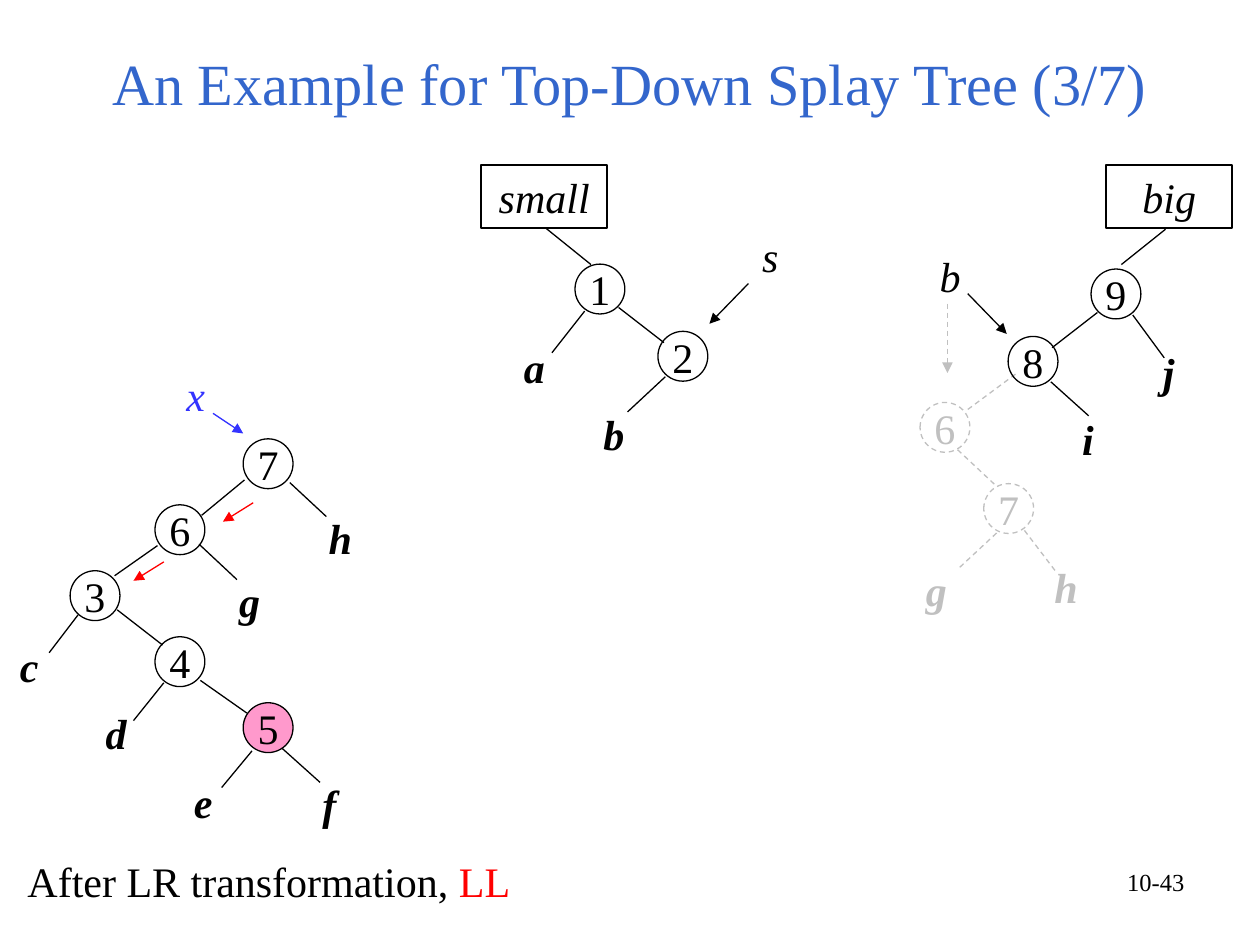
from lxml.etree import SubElement
from pptx import Presentation
from pptx.dml.color import RGBColor
from pptx.enum.dml import MSO_LINE_DASH_STYLE as Dash
from pptx.enum.shapes import MSO_CONNECTOR as Connector, MSO_SHAPE as Shape
from pptx.enum.text import MSO_ANCHOR as Anchor, MSO_AUTO_SIZE as AutoSize, PP_ALIGN as Align
from pptx.oxml.ns import qn
from pptx.util import Pt

COLORS = {"black": "000000", "white": "FFFFFF", "pink": "FF99CC", "gray": "C0C0C0",
          "red": "FF0000", "blue": "3333FF", "title": "3366CC"}
PLAIN = {"name": "Times New Roman", "size": Pt(24)}
ITALIC = {**PLAIN, "italic": True}
BOLD_ITALIC = {**ITALIC, "bold": True}


def write(shape, spans, style, align=Align.LEFT, anchor=Anchor.TOP, wrap=True):
    """Fill a shape with one paragraph of (text, color) spans."""
    frame = shape.text_frame
    layout = {"word_wrap": wrap, "vertical_anchor": anchor, "auto_size": AutoSize.NONE,
              "margin_left": Pt(7.2), "margin_right": Pt(7.2),
              "margin_top": Pt(3.6), "margin_bottom": Pt(3.6)}
    for name, value in layout.items():
        setattr(frame, name, value)
    para = frame.paragraphs[0]
    para.alignment = align
    for text, color in spans:
        span = para.add_run()
        span.text = text
        for name, value in style.items():
            setattr(span.font, name, value)
        span.font.color.rgb = RGBColor.from_string(COLORS[color])


def outline(line, color, width=0.75):
    line.color.rgb = RGBColor.from_string(COLORS[color])
    line.width = Pt(width)
    if color == "gray":
        line.dash_style = Dash.DASH


deck = Presentation()
deck.slide_width, deck.slide_height = Pt(720), Pt(540)
page = deck.slides.add_slide(deck.slide_layouts[5])
shapes = page.shapes

title = shapes.title
title.left, title.top, title.width, title.height = Pt(36), Pt(21.6), Pt(648), Pt(55.4)
write(title, [("An Example for Top-Down Splay Tree (3/7)", "title")],
      {**PLAIN, "size": Pt(33.3)}, Align.CENTER, Anchor.MIDDLE)
title.text_frame.paragraphs[0].line_spacing = 0.9

# Edges: start x, start y, end x, end y
edges = {
    "black": [
        (139.7, 274.3, 115.2, 294.5), (90, 311.8, 65.5, 329),
        (67, 348.5, 92.9, 368.6), (114.5, 388.8, 141.1, 407.5),
        (161.3, 427.7, 182.9, 447.1), (144, 429.1, 126.7, 450),
        (93.6, 390.2, 76.3, 411.8), (44.6, 351.4, 28.1, 373),
        (113.8, 311, 135.4, 331.2), (165.6, 275.8, 186.5, 295.2),
        (353.5, 175.7, 379.4, 195.8), (380.2, 215.3, 358.6, 235.4),
        (334.1, 177.8, 315.4, 201.6), (627.1, 178.6, 601.2, 198.7),
        (600.5, 218.2, 622.1, 237.6), (647.3, 180, 665.3, 204.5),
        (311.8, 130.3, 337.7, 151.2), (666, 131, 640.8, 151.2)],
    "gray": [
        (580.3, 213.8, 553, 234), (547.2, 257, 568.8, 277.2),
        (569.5, 304.6, 547.9, 324.7), (585.4, 303.1, 604.1, 327.6)],
}
arrows = {
    "black": [(427.7, 162, 405.4, 185), (553, 167.8, 575.3, 190.8)],
    "blue": [(121.7, 236.2, 139, 247.7)],
    "red": [(144.7, 287.3, 127.4, 298.1), (93.6, 321.1, 76.3, 331.9)],
    "gray": [(541.4, 173.5, 541.4, 213.1)],
}
for group, pointed in ((edges, False), (arrows, True)):
    for color, segments in group.items():
        for segment in segments:
            link = shapes.add_connector(Connector.STRAIGHT, *map(Pt, segment))
            outline(link.line, color)
            if pointed:
                SubElement(link.line._get_or_add_ln(), qn("a:tailEnd"), type="triangle")
            SubElement(link._element.spPr, qn("a:effectLst"))

# Root boxes and nodes: kind, text, center x, center y, width, height, color, fill
ROOT_SIZE, NODE_SIZE = (72, 36), (28.5, 28.5)
figures = [(Shape.RECTANGLE, "small", 311, 112.3, *ROOT_SIZE, "black", None),
           (Shape.RECTANGLE, "big", 668.2, 112.3, *ROOT_SIZE, "black", "white")]
nodes = [("7", 153.2, 265, "black", None), ("6", 102.8, 302.7, "black", None),
         ("3", 54.3, 340.4, "black", None), ("4", 102.8, 378.1, "black", None),
         ("5", 153.2, 415.8, "black", "pink"), ("1", 342.8, 165.2, "black", None),
         ("2", 390.2, 203.6, "black", None), ("9", 637.7, 168, "black", None),
         ("8", 590.3, 206.5, "black", None), ("6", 540, 244.2, "gray", None),
         ("7", 576.4, 290.6, "gray", None)]
for text, x, y, color, fill in nodes:
    figures.append((Shape.OVAL, text, x, y, *NODE_SIZE, color, fill))
for kind, text, x, y, width, height, color, fill in figures:
    figure = shapes.add_shape(kind, Pt(x - width / 2), Pt(y - height / 2), Pt(width), Pt(height))
    figure.shadow.inherit = False
    if fill:
        figure.fill.solid()
        figure.fill.fore_color.rgb = RGBColor.from_string(COLORS[fill])
    else:
        figure.fill.background()
    is_root = kind == Shape.RECTANGLE
    outline(figure.line, color, 1 if is_root else 0.75)
    write(figure, [(text, color)], ITALIC if is_root else PLAIN,
          Align.CENTER, Anchor.MIDDLE, wrap=False)

# Subtree and pointer labels: text, left, top, color
subtrees = [("f", 177.1, 441.4, "black"), ("e", 103.7, 439.9, "black"),
            ("d", 53.3, 401, "black"), ("c", 4.3, 362.2, "black"),
            ("g", 129.6, 325.4, "black"), ("h", 180.7, 289.4, "black"),
            ("b", 337.7, 229.7, "black"), ("a", 292.3, 191.5, "black"),
            ("i", 611.3, 232.6, "black"), ("j", 657.4, 194.4, "black"),
            ("g", 522, 319, "gray"), ("h", 595.4, 317.5, "gray")]
pointers = [("s", 428.4, 128.2, "black"), ("b", 529.9, 139.7, "black"),
            ("x", 99.4, 207.4, "blue")]
for labels, style, width in ((subtrees, BOLD_ITALIC, 31.7), (pointers, ITALIC, 28)):
    for text, left, top, color in labels:
        box = shapes.add_textbox(Pt(left), Pt(top), Pt(width), Pt(36))
        write(box, [(text, color)], style)

caption = shapes.add_textbox(Pt(8.6), Pt(485.3), Pt(323.3), Pt(36))
write(caption, [("After LR transformation, ", "black"), ("LL", "red")], PLAIN)

page_number = shapes.add_textbox(Pt(516.2), Pt(491.8), Pt(167.8), Pt(37.4))
write(page_number, [("10-43", "black")], {**PLAIN, "size": Pt(14)}, Align.RIGHT)

deck.save("out.pptx")
